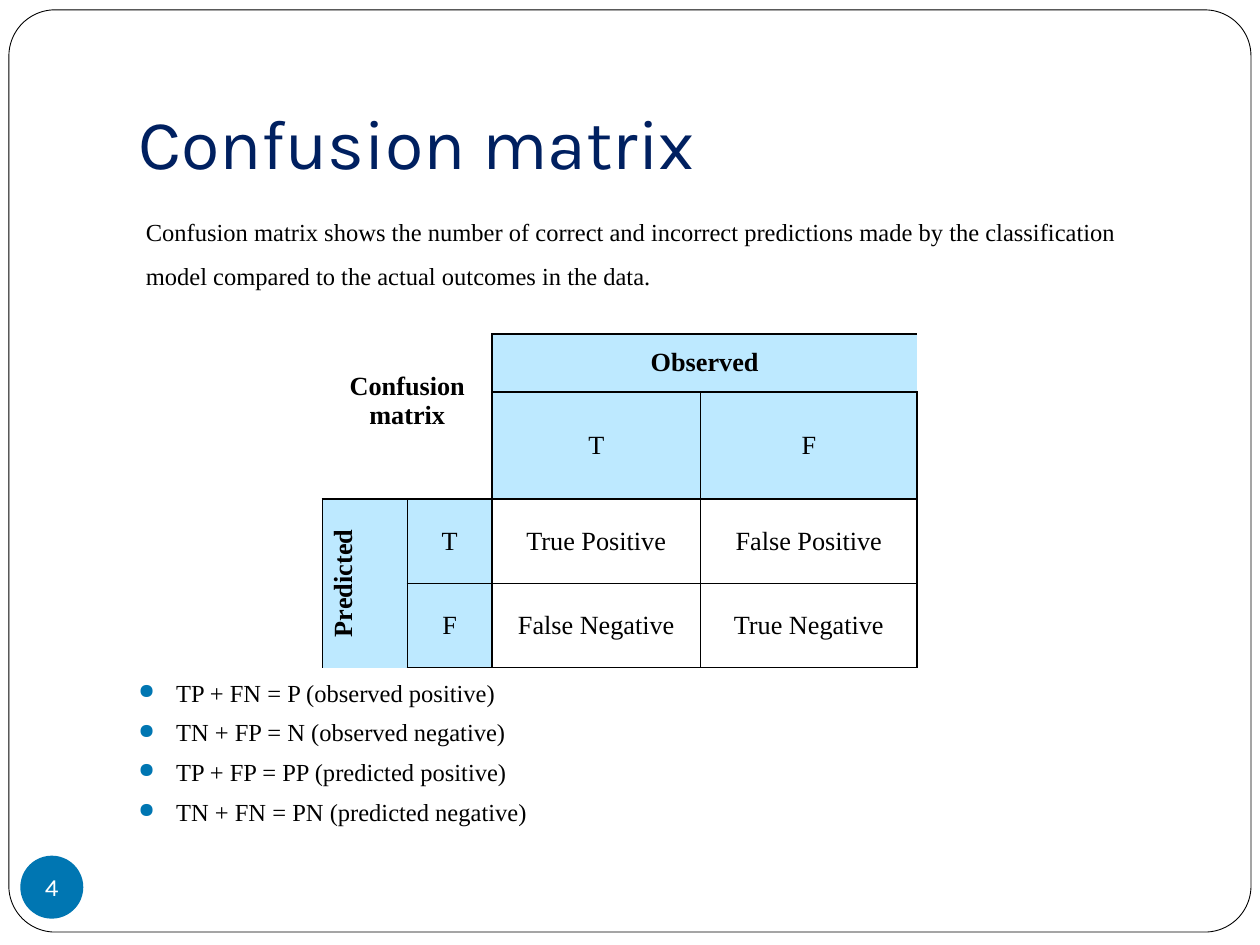
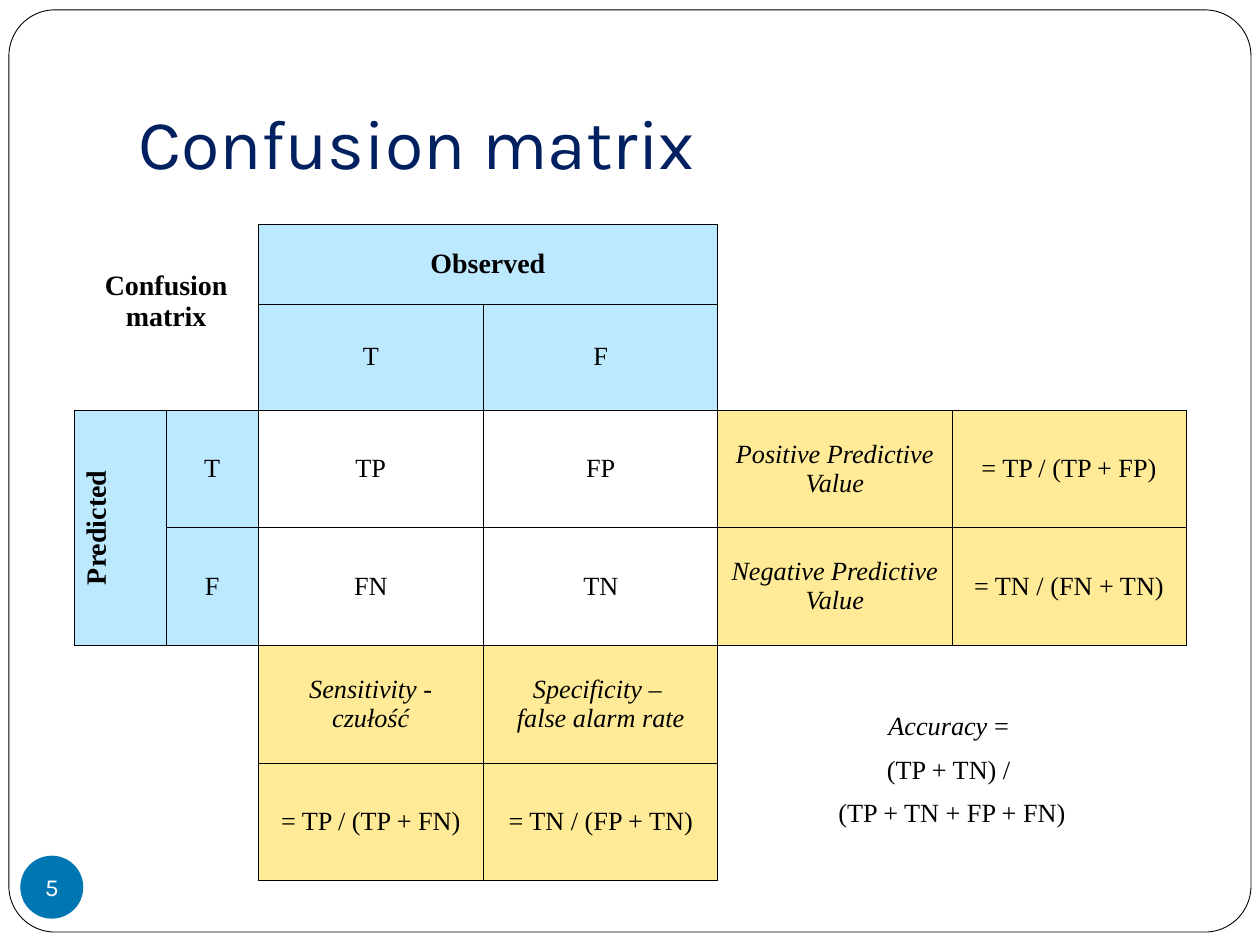
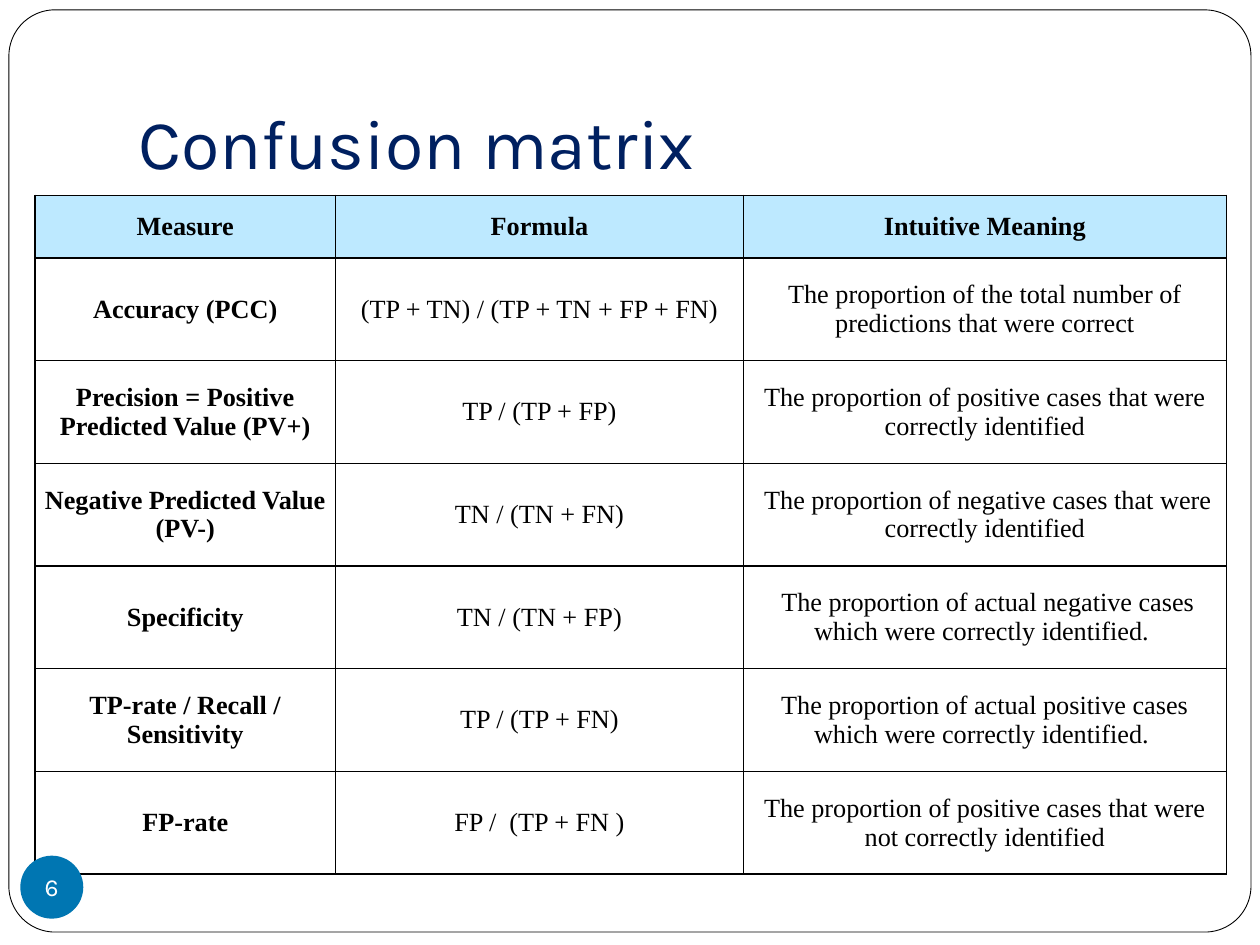
"""Builds three slides that explain the confusion matrix and its measures."""

from dataclasses import dataclass
from functools import partial
from itertools import product
from typing import NamedTuple

from lxml import etree
from pptx import Presentation
from pptx.dml.color import RGBColor
from pptx.enum.shapes import MSO_SHAPE
from pptx.enum.text import MSO_ANCHOR, MSO_AUTO_SIZE, PP_ALIGN
from pptx.oxml.ns import qn
from pptx.presentation import Presentation as Deck
from pptx.shapes.base import BaseShape
from pptx.slide import Slide
from pptx.table import _Cell as Cell
from pptx.text.text import TextFrame, _Paragraph as Paragraph
from pptx.util import Cm, Length, Pt

ROUNDED, OVAL = MSO_SHAPE.ROUNDED_RECTANGLE, MSO_SHAPE.OVAL
MIDDLE, BOTTOM = MSO_ANCHOR.MIDDLE, MSO_ANCHOR.BOTTOM
LEFT, CENTER = PP_ALIGN.LEFT, PP_ALIGN.CENTER
NO_FIT = MSO_AUTO_SIZE.NONE
TITLE_ONLY = 5


@dataclass(frozen=True)
class Theme:
    """Colours, fonts and type sizes of the deck."""

    black: str = "000000"
    white: str = "FFFFFF"
    navy: str = "002060"
    blue: str = "0076B2"
    sky: str = "BDE9FF"
    sand: str = "FFEB97"
    display_font: str = "Karla"
    text_font: str = "Times New Roman"
    title_size: int = 40
    text_size: int = 14
    cell_size: int = 15
    label_size: int = 16


THEME = Theme()


class Place(NamedTuple):
    """Position and size in centimetres."""

    left: float
    top: float
    width: float
    height: float

    def lengths(self) -> tuple[Length, ...]:
        """Return the four values as lengths."""
        return tuple(Cm(value) for value in self)


class Ink(NamedTuple):
    """Look of a run of text."""

    size: int = THEME.text_size
    color: str = THEME.black
    font: str = THEME.text_font
    bold: bool = False
    italic: bool = False


@dataclass(frozen=True)
class Entry:
    """One table cell, merged over its rows and columns."""

    row: int
    column: int
    text: str = ""
    lead: str = ""
    fill: str | None = None
    size: int = THEME.cell_size
    bold: bool = False
    italic: bool = False
    rows: int = 1
    columns: int = 1
    sides: str = "LRTB"
    upward: bool = False
    spacing: float = 1.0
    lift: float = 0.0


@dataclass(frozen=True)
class Grid:
    """A table with its entries and measures in centimetres."""

    left: float
    top: float
    widths: list[float]
    heights: list[float]
    line: float
    entries: list[Entry]
    margins: tuple[float, float] = (0.25, 0.13)


FRAME = Place(0.18, 0.2, 25.04, 18.59)
TITLE = Place(2.54, 0.76, 21.59, 3.18)
BADGE = Place(0.41, 17.25, 1.27, 1.27)
INTRO = Place(2.69, 3.96, 20.4, 2.06)
SUMS = Place(2.54, 13.54, 9.96, 4.57)

Heading = partial(Entry, fill=THEME.sky, bold=True)
Label = partial(Entry, fill=THEME.sky)
Name = partial(Entry, fill=THEME.sand, italic=True)
Formula = partial(Entry, fill=THEME.sand)


def matrix_entries(size: int, outcomes: list[str], lift: float) -> list[Entry]:
    """Return the headings and outcomes that both matrices share."""
    entries = [
        Entry(0, 0, "Confusion matrix", size=size, bold=True, rows=2, columns=2, sides="RB", lift=lift),
        Heading(0, 2, "Observed", size=size, columns=2),
        Heading(2, 0, "Predicted", size=size, rows=2, upward=True),
    ]
    for index, letter in enumerate("TF", start=2):
        entries += [Label(1, index, letter), Label(index, 1, letter)]
    spots = product((2, 3), repeat=2)
    return entries + [Entry(row, column, text) for (row, column), text in zip(spots, outcomes)]


MATRIX = Grid(
    6.5, 6.73, [1.71, 1.71, 4.2, 4.37], [1.17, 2.16, 1.7, 1.7], 1,
    matrix_entries(
        THEME.cell_size,
        ["True Positive", "False Positive", "False Negative", "True Negative"],
        0.6,
    ),
)

RATES = Grid(
    1.5, 4.52, [1.85, 1.85, 4.55] + [4.72] * 3, [1.61, 2.14] + [2.37] * 4, 0.5,
    matrix_entries(THEME.label_size, ["TP", "FP", "FN", "TN"], 0.62) + [
        Entry(0, 4, rows=2, columns=2, sides="LB"),
        Name(2, 4, "Positive Predictive Value"),
        Formula(2, 5, "= TP / (TP + FP)"),
        Name(3, 4, "Negative Predictive Value"),
        Formula(3, 5, "= TN / (FN + TN)"),
        Entry(4, 0, rows=2, columns=2, sides="RT"),
        Name(4, 2, "Sensitivity - czułość"),
        Name(4, 3, "Specificity – \nfalse alarm rate"),
        Formula(5, 2, "= TP / (TP + FN)"),
        Formula(5, 3, "= TN / (FP + TN)"),
        Entry(
            4, 4, " = \n(TP + TN) / \n(TP + TN + FP + FN)", lead="Accuracy",
            rows=2, columns=2, sides="LT", spacing=1.5,
        ),
    ],
)

MEASURES = [
    ("Accuracy (PCC)", "(TP + TN) / (TP + TN + FP + FN)",
     "The proportion of the total number of predictions that were correct"),
    ("Precision = Positive Predicted Value (PV+)", "TP / (TP + FP)",
     "The proportion of positive cases that were correctly identified"),
    ("Negative Predicted Value (PV-)", "TN / (TN + FN)",
     " The proportion of negative cases that were correctly identified"),
    ("Specificity", "TN / (TN + FP)",
     " The proportion of actual negative cases which were correctly identified. "),
    ("TP-rate / Recall / Sensitivity", "TP / (TP + FN)",
     "The proportion of actual positive cases which were correctly identified. "),
    ("FP-rate", "FP /  (TP + FN )",
     "The proportion of positive cases that were not correctly identified"),
]

MEANINGS = Grid(
    0.71, 3.94, [6.05, 8.23, 9.73], [1.26] + [2.07] * len(MEASURES), 1,
    [Heading(0, column, text) for column, text in enumerate(("Measure", "Formula", "Intuitive Meaning"))]
    + [
        Entry(row, column, text, bold=column == 0, fill=None if column else THEME.white)
        for row, measure in enumerate(MEASURES, start=1)
        for column, text in enumerate(measure)
    ],
    (0.08, 0.08),
)

INTRO_TEXT = (
    "Confusion matrix shows the number of correct and incorrect predictions made by "
    "the classification model compared to the actual outcomes in the data."
)
SUM_TEXTS = [
    "TP + FN = P (observed positive)",
    "TN + FP = N (observed negative)",
    "TP + FP = PP (predicted positive)",
    "TN + FN = PN (predicted negative)",
]


def rgb(color: str) -> RGBColor:
    """Return the colour of a hex string."""
    return RGBColor.from_string(color)


def add_span(para: Paragraph, text: str, ink: Ink) -> None:
    """Add one formatted run to a paragraph."""
    span = para.add_run()
    span.text = text
    span.font.name, span.font.size = ink.font, Pt(ink.size)
    span.font.bold, span.font.italic = ink.bold, ink.italic
    span.font.color.rgb = rgb(ink.color)


def next_para(frame: TextFrame, index: int) -> Paragraph:
    """Return the first paragraph, or a new one after it."""
    return frame.add_paragraph() if index else frame.paragraphs[0]


def set_margins(target: TextFrame | Cell, left: float, top: float, right: float, bottom: float) -> None:
    """Set the four inner margins in centimetres."""
    target.margin_left, target.margin_top = Cm(left), Cm(top)
    target.margin_right, target.margin_bottom = Cm(right), Cm(bottom)


def add_figure(page: Slide, kind: MSO_SHAPE, place: Place, fill: str) -> BaseShape:
    """Add a flat preset shape without a line."""
    figure = page.shapes.add_shape(kind, *place.lengths())
    figure.shadow.inherit = False
    figure.fill.solid()
    figure.fill.fore_color.rgb = rgb(fill)
    figure.line.fill.background()
    return figure


def add_frame(page: Slide) -> None:
    """Put the rounded border on the layout, behind everything."""
    border = add_figure(page, ROUNDED, FRAME, THEME.white)
    border.adjustments[0] = 0.05
    border.line.color.rgb = rgb(THEME.black)
    border.line.width = Pt(0.5)
    page.slide_layout.shapes.element.insert(2, border.element)


def add_page(deck: Deck) -> Slide:
    """Add a slide with the formatted title."""
    page = deck.slides.add_slide(deck.slide_layouts[TITLE_ONLY])
    title = page.shapes.title
    title.left, title.top, title.width, title.height = TITLE.lengths()
    frame = title.text_frame
    frame.auto_size, frame.vertical_anchor = NO_FIT, BOTTOM
    set_margins(frame, 0.25, 0.13, 0.25, 0.25)
    para = frame.paragraphs[0]
    para.alignment = LEFT
    add_span(para, "Confusion matrix", Ink(THEME.title_size, THEME.navy, THEME.display_font))
    return page


def add_badge(page: Slide, number: int) -> None:
    """Add the round page number."""
    frame = add_figure(page, OVAL, BADGE, THEME.blue).text_frame
    frame.word_wrap, frame.vertical_anchor = False, MIDDLE
    set_margins(frame, 0, 0, 0, 0)
    para = frame.paragraphs[0]
    para.alignment = CENTER
    add_span(para, str(number), Ink(color=THEME.white, font=THEME.display_font))


def add_text(page: Slide, place: Place, texts: list[str]) -> list[Paragraph]:
    """Add a wrapping text box and return its paragraphs."""
    frame = page.shapes.add_textbox(*place.lengths()).text_frame
    frame.word_wrap = True
    for index, text in enumerate(texts):
        add_span(next_para(frame, index), text, Ink())
    return list(frame.paragraphs)


def set_bullet(para: Paragraph) -> None:
    """Give a paragraph a blue round bullet and a hanging indent."""
    para.space_before = Pt(5.8)
    properties = para._p.get_or_add_pPr()
    properties.set("marL", str(Cm(0.76)))
    properties.set("indent", str(-Cm(0.76)))
    color = etree.SubElement(properties, qn("a:buClr"))
    etree.SubElement(color, qn("a:srgbClr"), val=THEME.blue)
    etree.SubElement(properties, qn("a:buSzPct"), val="85000")
    etree.SubElement(properties, qn("a:buChar"), char="●")


def set_borders(cell: Cell, sides: str, width: float) -> None:
    """Draw the named sides of a cell and clear the others."""
    properties = cell._tc.get_or_add_tcPr()
    for side in "LRTB":
        line = etree.SubElement(properties, qn(f"a:ln{side}"), w=str(Pt(width)))
        if side in sides:
            fill = etree.SubElement(line, qn("a:solidFill"))
            etree.SubElement(fill, qn("a:srgbClr"), val=THEME.black)
        else:
            etree.SubElement(line, qn("a:noFill"))


def outer_sides(entry: Entry, row: int, column: int) -> str:
    """Return the drawn sides that lie on the edge of a merged entry."""
    edges = {
        "L": column == 0,
        "R": column == entry.columns - 1,
        "T": row == 0,
        "B": row == entry.rows - 1,
    }
    return "".join(side for side in entry.sides if edges[side])


def fill_cell(cell: Cell, entry: Entry) -> None:
    """Write the text of an entry into its cell."""
    if entry.upward:
        cell._tc.get_or_add_tcPr().set("vert", "vert270")
    ink = Ink(entry.size, bold=entry.bold, italic=entry.italic)
    for index, text in enumerate(entry.text.split("\n")):
        para = next_para(cell.text_frame, index)
        para.alignment, para.line_spacing = CENTER, entry.spacing
        if entry.lead and index == 0:
            add_span(para, entry.lead, ink._replace(italic=True))
        if text:
            add_span(para, text, ink)


def add_grid(page: Slide, grid: Grid) -> None:
    """Add a table and all its entries."""
    place = Place(grid.left, grid.top, sum(grid.widths), sum(grid.heights))
    table = page.shapes.add_table(len(grid.heights), len(grid.widths), *place.lengths()).table
    table.first_row = table.horz_banding = False
    for column, width in zip(table.columns, grid.widths):
        column.width = Cm(width)
    for row, height in zip(table.rows, grid.heights):
        row.height = Cm(height)
    across, down = grid.margins
    for entry in grid.entries:
        for row, column in product(range(entry.rows), range(entry.columns)):
            cell = table.cell(entry.row + row, entry.column + column)
            set_borders(cell, outer_sides(entry, row, column), grid.line)
            cell.vertical_anchor = MIDDLE
            set_margins(cell, across, down, across, down + entry.lift)
            if entry.fill:
                cell.fill.solid()
                cell.fill.fore_color.rgb = rgb(entry.fill)
            else:
                cell.fill.background()
        first = table.cell(entry.row, entry.column)
        if entry.rows * entry.columns > 1:
            first.merge(table.cell(entry.row + entry.rows - 1, entry.column + entry.columns - 1))
        fill_cell(first, entry)


def main() -> None:
    """Build and save the deck."""
    deck = Presentation()
    deck.slide_width, deck.slide_height = Cm(25.4), Cm(19.05)
    for number, grid in enumerate((MATRIX, RATES, MEANINGS), start=4):
        page = add_page(deck)
        if grid is MATRIX:
            add_frame(page)
            add_text(page, INTRO, [INTRO_TEXT])[0].line_spacing = 1.5
            for para in add_text(page, SUMS, SUM_TEXTS):
                set_bullet(para)
        add_grid(page, grid)
        add_badge(page, number)
    deck.save("out.pptx")


if __name__ == "__main__":
    main()
